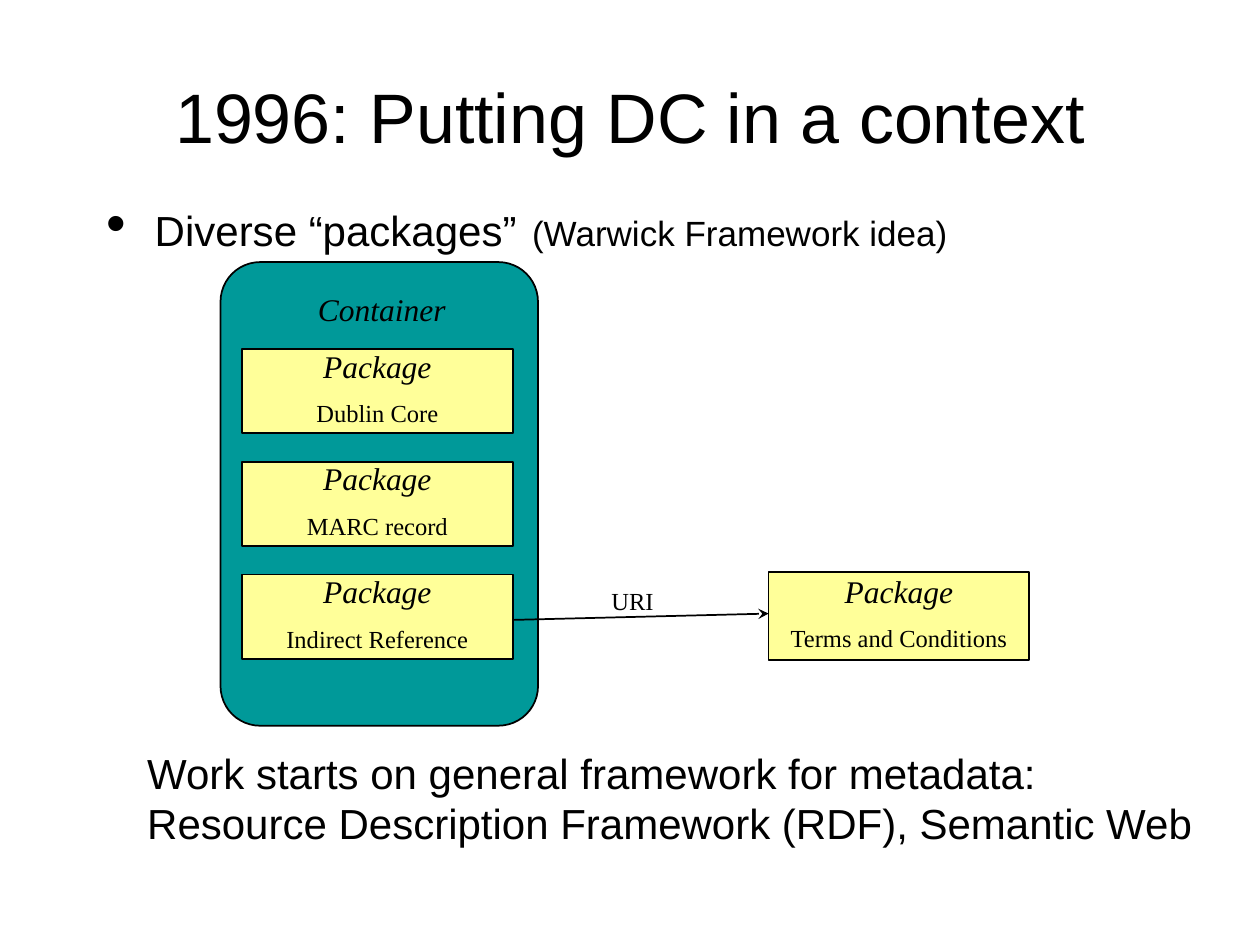
from lxml import etree
from pptx import Presentation
from pptx.dml.color import RGBColor
from pptx.enum import shapes, text
from pptx.oxml import ns
from pptx.util import Inches, Pt

BLACK = RGBColor(0x00, 0x00, 0x00)
TEAL = RGBColor(0x00, 0x99, 0x99)
CREAM = RGBColor(0xFF, 0xFF, 0x99)
SANS, SERIF = "Arial", "Times New Roman"
LEFT, MID = text.PP_ALIGN.LEFT, text.PP_ALIGN.CENTER

TITLE = "1996: Putting DC in a context"
POINT = [("Diverse “packages”", 24), (" ", 32), ("(Warwick Framework idea)", 20)]
INNER = ["Dublin Core", "MARC record", "Indirect Reference"]
OUTER = "Terms and Conditions"
CLOSING = ["Work starts on general framework for metadata:",
           "Resource Description Framework (RDF), Semantic Web"]
TOP, STEP = 2.77, 0.895


def style(run, size, face, italic=False):
    font = run.font
    font.size, font.name, font.italic = Pt(size), face, italic
    font.color.rgb = BLACK


def add_text(slide, box, lines, size, face, align, italic=False, wrap=False):
    frame = slide.shapes.add_textbox(*map(Inches, box)).text_frame
    frame.word_wrap = wrap
    frame.text = "\n".join(lines)
    for para in frame.paragraphs:
        para.alignment = align
        for run in para.runs:
            style(run, size, face, italic)
    return frame


def add_box(slide, kind, box, color):
    shape = slide.shapes.add_shape(kind, *map(Inches, box))
    shape.shadow.inherit = False
    shape.fill.solid()
    shape.fill.fore_color.rgb = color
    shape.line.color.rgb = BLACK
    shape.line.width = Pt(1)
    return shape


def add_pack(slide, box, label):
    shape = add_box(slide, shapes.MSO_SHAPE.RECTANGLE, box, CREAM)
    frame = shape.text_frame
    frame.word_wrap = False
    frame.vertical_anchor = text.MSO_ANCHOR.MIDDLE
    frame.text = f"Package\n{label}"
    head, body = frame.paragraphs
    for para in (head, body):
        para.alignment = MID
        para.line_spacing = 0.75
    body.space_before = Pt(12)
    style(head.runs[0], 18, SERIF, True)
    style(body.runs[0], 14, SERIF)


def add_point(slide):
    box = slide.shapes.add_textbox(*map(Inches, (0.75, 1.46, 8.5, 0.6)))
    frame = box.text_frame
    frame.word_wrap = True
    para = frame.paragraphs[0]
    props = para._p.get_or_add_pPr()
    props.set("marL", str(Inches(0.38)))
    props.set("indent", str(-Inches(0.38)))
    etree.SubElement(props, ns.qn("a:buSzPct")).set("val", "133000")
    etree.SubElement(props, ns.qn("a:buFont")).set("typeface", SANS)
    etree.SubElement(props, ns.qn("a:buChar")).set("char", "•")
    for words, size in POINT:
        run = para.add_run()
        run.text = words
        style(run, size, SANS)


def add_arrow(slide, start, end):
    link = slide.shapes.add_connector(
        shapes.MSO_CONNECTOR.STRAIGHT, *map(Inches, start + end))
    link.line.color.rgb = BLACK
    link.line.width = Pt(1)
    line = link.line._get_or_add_ln()
    etree.SubElement(line, ns.qn("a:tailEnd")).set("type", "stealth")
    etree.SubElement(link._element.spPr, ns.qn("a:effectLst"))


def main():
    deck = Presentation()
    deck.slide_width, deck.slide_height = Inches(10), Inches(7.5)
    slide = deck.slides.add_slide(deck.slide_layouts[6])

    title = add_text(slide, (0.75, 0.25, 8.5, 1.33), [TITLE], 40, SANS, MID, wrap=True)
    title.vertical_anchor = text.MSO_ANCHOR.MIDDLE
    add_point(slide)

    crate = add_box(slide, shapes.MSO_SHAPE.ROUNDED_RECTANGLE,
                    (1.75, 2.08, 2.52, 3.68), TEAL)
    crate.adjustments[0] = 0.125
    add_text(slide, (2.42, 2.25, 1.22, 0.4), ["Container"], 18, SERIF, MID, True)
    for row, label in enumerate(INNER):
        add_pack(slide, (1.92, TOP + row * STEP, 2.15, 0.67), label)
    add_pack(slide, (6.1, 4.54, 2.07, 0.7), OUTER)
    add_arrow(slide, (4.08, 4.92), (6.1, 4.87))
    add_text(slide, (4.75, 4.6, 0.54, 0.33), ["URI"], 14, SERIF, MID)
    add_text(slide, (1.07, 5.88, 8.5, 0.9), CLOSING, 24, SANS, LEFT)
    deck.save("out.pptx")


if __name__ == "__main__":
    main()
